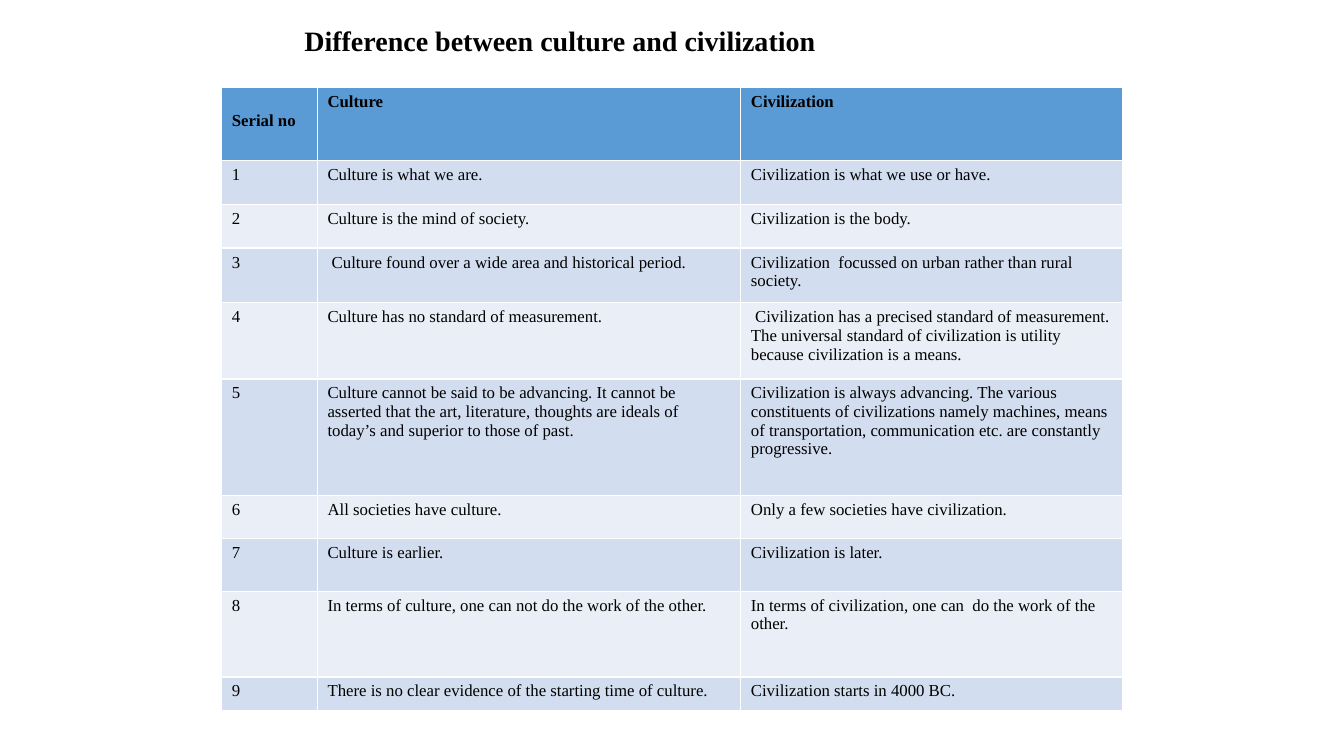
from pptx import Presentation
from pptx import util as u
from pptx.dml import color
from pptx.enum import text

FONT = "Times New Roman"
HUES = {"ink": "000000", "head": "5B9BD5", "odd": "D2DEEF", "even": "EAEFF7"}
WIDTHS = [2.41, 10.67, 9.63]
HEIGHTS = [1.85, 1.1, 1.1, 1.38, 1.92, 2.93, 1.1, 1.32, 2.16, 0.84]
HEADS = ("Serial no", "Culture", "Civilization")
PAIRS = [
    ("Culture is what we are.", "Civilization is what we use or have."),
    ("Culture is the mind of society.", "Civilization is the body."),
    (" Culture found over a wide area and historical period.",
     "Civilization  focussed on urban rather than rural society."),
    ("Culture has no standard of measurement.",
     " Civilization has a precised standard of measurement. The universal "
     "standard of civilization is utility because civilization is a means."),
    ("Culture cannot be said to be advancing. It cannot be asserted that the "
     "art, literature, thoughts are ideals of today’s and superior to those of past.",
     "Civilization is always advancing. The various constituents of "
     "civilizations namely machines, means of transportation, communication "
     "etc. are constantly progressive."),
    ("All societies have culture.", "Only a few societies have civilization."),
    ("Culture is earlier.", "Civilization is later."),
    ("In terms of culture, one can not do the work of the other.",
     "In terms of civilization, one can  do the work of the other."),
    ("There is no clear evidence of the starting time of culture.",
     "Civilization starts in 4000 BC."),
]


def hue(name):
    return color.RGBColor.from_string(HUES[name])


def write(frame, words, size, bold):
    frame.text = words
    for run in frame.paragraphs[0].runs:
        run.font.name = FONT
        run.font.size = u.Pt(size)
        run.font.bold = bold
        run.font.color.rgb = hue("ink")


def add_title(slide, words):
    box = slide.shapes.add_textbox(u.Cm(7.42), u.Cm(0.48), u.Cm(16), u.Cm(1.1))
    box.text_frame.word_wrap = True
    write(box.text_frame, words, 20, True)


def add_grid(slide, rows):
    # The default table style supplies the white rules
    grid = slide.shapes.add_table(
        len(rows), len(WIDTHS), u.Cm(5.59), u.Cm(2.2),
        u.Cm(sum(WIDTHS)), u.Cm(sum(HEIGHTS))).table
    for col, width in zip(grid.columns, WIDTHS):
        col.width = u.Cm(width)
    for i, (row, height) in enumerate(zip(grid.rows, HEIGHTS)):
        row.height = u.Cm(height)
        fill = "head" if i == 0 else "odd" if i % 2 else "even"
        for cell, words in zip(row.cells, rows[i]):
            cell.fill.solid()
            cell.fill.fore_color.rgb = hue(fill)
            cell.vertical_anchor = text.MSO_ANCHOR.TOP
            write(cell.text_frame, words, 12, i == 0)
    # The first heading sits one line lower
    grid.cell(0, 0).margin_top = u.Cm(0.6)


def main():
    deck = Presentation()
    deck.slide_width, deck.slide_height = u.Cm(33.87), u.Cm(19.05)
    slide = deck.slides.add_slide(deck.slide_layouts[6])
    add_title(slide, "Difference between culture and civilization")
    add_grid(slide, [HEADS] + [(str(n), *pair) for n, pair in enumerate(PAIRS, 1)])
    deck.save("out.pptx")


if __name__ == "__main__":
    main()
